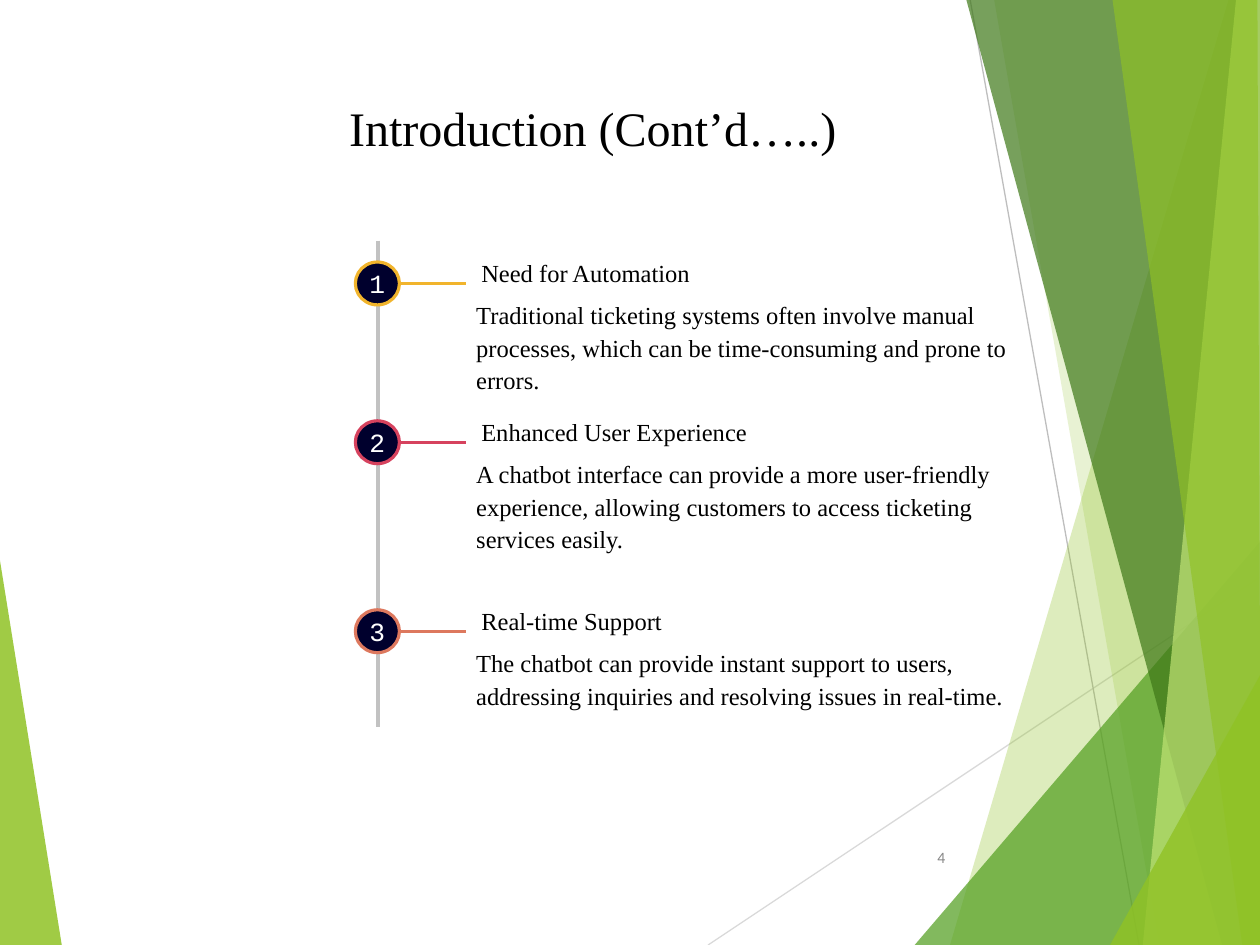
from lxml.etree import SubElement
from pptx import Presentation
from pptx.dml.color import RGBColor
from pptx.enum.shapes import MSO_CONNECTOR, MSO_SHAPE
from pptx.enum.text import MSO_ANCHOR, MSO_AUTO_SIZE, PP_ALIGN
from pptx.oxml.ns import qn
from pptx.util import Inches, Pt

SERIF = "Times New Roman"

# Facets: colour, opacity in percent, corner points in inches
FACETS = [
    ("90C225", 30, [(9.75, 0), (7.54, 7.5), (10, 7.5), (10, 0)]),
    ("90C225", 20, [(10, 0), (7.89, 0), (9.2, 7.5), (10, 7.5)]),
    ("539F20", 72, [(10, 4.3), (7.26, 7.5), (10, 7.5)]),
    ("3E7818", 70, [(10, 0), (7.67, 0), (9.7, 7.5), (10, 7.5)]),
    ("C0E374", 70, [(10, 0), (9.81, 0), (9.07, 7.5), (10, 7.5)]),
    ("90C225", 65, [(9.98, 0), (8.83, 0), (9.86, 7.5), (10, 7.5), (10, 5.22)]),
    ("90C225", 80, [(10, 5.36), (8.81, 7.5), (10, 7.5)]),
]
LEFT_FACET = ("90C225", 85, [(0, 4.45), (0, 7.5), (0.49, 7.5)])

# Reasons: top in inches, accent, heading, explanation
REASONS = [
    (1.94, "F1B42C", "Need for Automation",
     "Traditional ticketing systems often involve manual processes, "
     "which can be time-consuming and prone to errors."),
    (3.2, "D6425E", "Enhanced User Experience",
     "A chatbot interface can provide a more user-friendly experience, "
     "allowing customers to access ticketing services easily."),
    (4.7, "DD785E", "Real-time Support",
     "The chatbot can provide instant support to users, "
     "addressing inquiries and resolving issues in real-time."),
]


def color(hex_value):
    return RGBColor.from_string(hex_value)


def style(paragraph, name, size, hex_value):
    paragraph.font.name = name
    paragraph.font.size = Pt(size)
    paragraph.font.color.rgb = color(hex_value)


def set_frame(frame, top=0, wrap=True, anchor=MSO_ANCHOR.TOP):
    frame.margin_left = frame.margin_right = frame.margin_bottom = 0
    frame.margin_top = Inches(top)
    frame.word_wrap = wrap
    frame.auto_size = MSO_AUTO_SIZE.NONE
    frame.vertical_anchor = anchor


def add_line(slide, x1, y1, x2, y2, hex_value, width):
    line = slide.shapes.add_connector(
        MSO_CONNECTOR.STRAIGHT, Inches(x1), Inches(y1), Inches(x2), Inches(y2))
    line.line.color.rgb = color(hex_value)
    line.line.width = Pt(width)
    SubElement(line._element.spPr, qn("a:effectLst"))


def add_facet(slide, hex_value, opacity, points):
    corners = [(Inches(x), Inches(y)) for x, y in points]
    builder = slide.shapes.build_freeform(*corners[0])
    builder.add_line_segments(corners[1:], close=True)
    facet = builder.convert_to_shape()
    facet.shadow.inherit = False
    facet.line.fill.background()
    facet.fill.solid()
    facet.fill.fore_color.rgb = color(hex_value)
    fill = facet._element.spPr.find(qn("a:solidFill"))
    SubElement(fill[0], qn("a:alpha"), val=str(opacity * 1000))


def add_backdrop(slide, width, height):
    add_facet(slide, *LEFT_FACET)
    add_line(slide, 5.62, height, width, 4.58, "D9D9D9", 0.75)
    add_line(slide, 7.7, 0, 9.04, height, "BEBEBE", 0.75)
    for facet in FACETS:
        add_facet(slide, *facet)


def add_title(slide, left, top, width, height):
    title = slide.shapes.title
    title.left, title.top = Inches(left), Inches(top)
    title.width, title.height = Inches(width), Inches(height)
    set_frame(title.text_frame, top=0.07)
    title.text_frame.text = "Introduction (Cont’d…..)"
    heading = title.text_frame.paragraphs[0]
    heading.alignment = PP_ALIGN.LEFT
    style(heading, SERIF, 27.5, "000000")


def add_reason(slide, number, left, top, width, accent, heading, explanation):
    badge_width, badge_height, text_offset = 0.35, 0.34, 0.95
    middle = top + 0.31

    # Branch and numbered badge
    add_line(slide, left + badge_width, middle, left + 0.88, middle, accent, 1.8)
    badge = slide.shapes.add_shape(
        MSO_SHAPE.OVAL, Inches(left), Inches(middle - badge_height / 2),
        Inches(badge_width), Inches(badge_height))
    badge.shadow.inherit = False
    badge.fill.solid()
    badge.fill.fore_color.rgb = color("00002D")
    badge.line.color.rgb = color(accent)
    badge.line.width = Pt(1.8)
    set_frame(badge.text_frame, wrap=False, anchor=MSO_ANCHOR.MIDDLE)
    badge.text_frame.text = str(number)
    digit = badge.text_frame.paragraphs[0]
    digit.alignment = PP_ALIGN.CENTER
    style(digit, "Courier New", 15, "FFFFFF")

    # Heading and explanation
    box = slide.shapes.add_textbox(
        Inches(left + text_offset), Inches(top),
        Inches(width - text_offset), Inches(1.18))
    frame = box.text_frame
    set_frame(frame, top=0.11)
    frame.text = f"{heading}\n{explanation}"
    for paragraph, indent in zip(frame.paragraphs, (0.05, 0.01)):
        paragraph._p.get_or_add_pPr().set("marL", str(Inches(indent)))
        style(paragraph, SERIF, 14, "000000")
    body = frame.paragraphs[1]
    body.space_before = Pt(5.6)
    body.line_spacing = 1.1


def add_timeline(slide, left, top, width, height):
    spine = left + 0.18
    add_line(slide, spine, top, spine, top + height, "C2C2C2", 1.8)
    for number, (reason_top, *content) in enumerate(REASONS, start=1):
        add_reason(slide, number, left, reason_top, width, *content)


def add_page_number(slide, left, top, width, height):
    box = slide.shapes.add_textbox(
        Inches(left), Inches(top), Inches(width), Inches(height))
    set_frame(box.text_frame, top=0.01, wrap=False)
    box.text_frame.text = "4"
    style(box.text_frame.paragraphs[0], "Calibri", 9, "888888")


def main():
    deck = Presentation()
    deck.slide_width, deck.slide_height = Inches(10), Inches(7.5)
    slide = deck.slides.add_slide(deck.slide_layouts[5])
    add_backdrop(slide, 10, 7.5)
    add_title(slide, 2.77, 0.71, 3.97, 0.49)
    add_timeline(slide, 2.82, 1.91, 5.28, 3.86)
    add_page_number(slide, 7.44, 6.72, 0.09, 0.18)
    deck.save("out.pptx")


if __name__ == "__main__":
    main()
